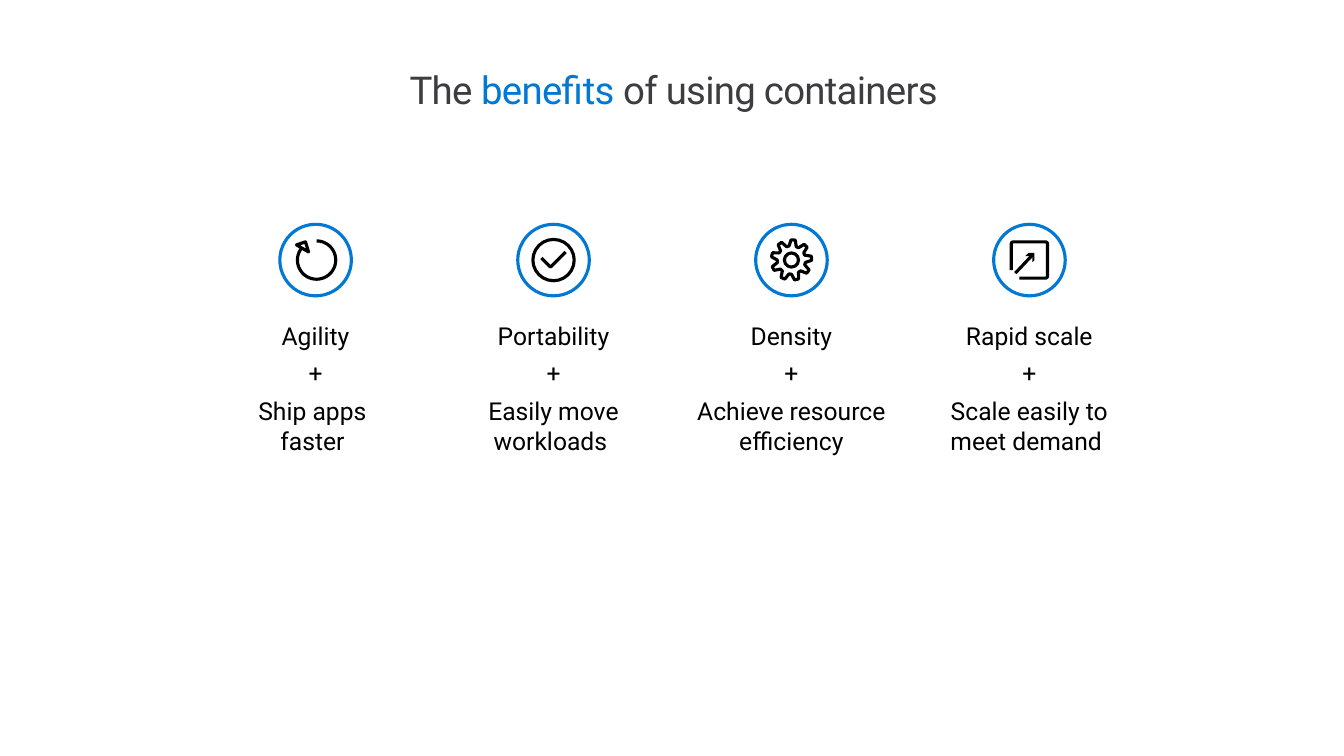
from dataclasses import dataclass
from math import cos, radians, sin
from lxml.etree import SubElement
from pptx import Presentation
from pptx.dml.color import RGBColor
from pptx.enum.shapes import MSO_CONNECTOR, MSO_SHAPE
from pptx.enum.text import PP_ALIGN
from pptx.oxml.ns import qn
from pptx.util import Inches, Pt


@dataclass(frozen=True)
class Theme:
    font: str = "Roboto"
    title_size: float = 27.4
    body_size: float = 17.6
    stroke: float = 2.25
    accent: RGBColor = RGBColor(0x00, 0x78, 0xD4)
    heading: RGBColor = RGBColor(0x3C, 0x3C, 0x41)
    ink: RGBColor = RGBColor(0x00, 0x00, 0x00)
    paper: RGBColor = RGBColor(0xFF, 0xFF, 0xFF)


theme = Theme()


def arc(x, y, radius, start, end, step=6):
    return [(x + radius * cos(radians(a)), y + radius * sin(radians(a)))
            for a in range(start, end + 1, step)]


def paint(shape, fill, line):
    shape.shadow.inherit = False
    if fill is None:
        shape.fill.background()
    else:
        shape.fill.solid()
        shape.fill.fore_color.rgb = fill
    if line is None:
        shape.line.fill.background()
    else:
        shape.line.color.rgb = line
        shape.line.width = Pt(theme.stroke)


deck = Presentation()
deck.slide_width, deck.slide_height = Inches(13.33), Inches(7.5)
slide = deck.slides.add_slide(deck.slide_layouts[6])
shapes = slide.shapes

FIRST_COLUMN, COLUMN_PITCH = 3.13, 2.36
BADGE_ROW, BADGE_SIZE = 2.58, 0.71
TEXT_ROW, TEXT_WIDTH, TEXT_HEIGHT, INSET = 3.02, 2.2, 1.67, 0.16

title = shapes.add_textbox(Inches(0.5), Inches(0.68), Inches(12.36), Inches(0.44)).text_frame
title.word_wrap = True
title.margin_left = title.margin_right = title.margin_top = title.margin_bottom = 0
headline = title.paragraphs[0]
headline.alignment = PP_ALIGN.CENTER
headline.line_spacing = Pt(31.4)
headline.font.name = theme.font
headline.font.size = Pt(theme.title_size)
for words, color in [("The ", theme.heading), ("benefits", theme.accent),
                     (" of using containers", theme.heading)]:
    run = headline.add_run()
    run.text = words
    run.font.color.rgb = color
    run.font._element.set("spc", "-50")

gear = []
for tooth in range(9):
    angle = 75 + 40 * tooth
    gear += arc(0, 0, 0.2, angle - 6, angle + 6)
    gear += arc(0, 0, 0.14, angle + 15, angle + 25, 5)

frame = ([(-0.1, 0.18)] + arc(0.16, 0.16, 0.02, 0, 90, 30)[::-1]
         + arc(0.16, -0.16, 0.02, -90, 0, 30)[::-1]
         + arc(-0.16, -0.16, 0.02, 180, 270, 30)[::-1] + [(-0.18, 0.1)])
pointer = [(0.03, 0.02), (0.03, -0.04), (-0.04, -0.04), (-0.01, -0.07),
           (0.05, -0.07), (0.05, 0)]

benefits = [
    ("Agility", "Ship apps \vfaster ", None, [
        (arc(0.01, 0, 0.19, -90, 219), False, None, theme.ink),
        ([(-0.19, -0.15), (-0.1, -0.18), (-0.07, -0.08)], True, theme.paper, theme.ink)]),
    ("Portability", "Easily move workloads ", 0.41, [
        ([(0.12, -0.08), (-0.03, 0.07), (-0.12, -0.02)], False, None, theme.ink)]),
    ("Density", "Achieve resource efficiency", 0.14, [
        (gear, True, None, theme.ink)]),
    ("Rapid scale", "Scale easily to meet demand ", None, [
        (pointer, True, theme.ink, None),
        (frame, False, None, theme.ink)]),
]

for column, (name, gain, ring, outlines) in enumerate(benefits):
    center = FIRST_COLUMN + column * COLUMN_PITCH
    caption = shapes.add_textbox(Inches(center - TEXT_WIDTH / 2), Inches(TEXT_ROW),
                                 Inches(TEXT_WIDTH), Inches(TEXT_HEIGHT)).text_frame
    caption.word_wrap = True
    caption.margin_left = caption.margin_right = Inches(INSET)
    caption.margin_top = caption.margin_bottom = Inches(INSET)
    for row, words in enumerate([name, "+", gain]):
        paragraph = caption.add_paragraph() if row else caption.paragraphs[0]
        paragraph.text = words
        paragraph.alignment = PP_ALIGN.CENTER
        paragraph.space_after = Pt(5.9)
        paragraph.font.name = theme.font
        paragraph.font.size = Pt(theme.body_size)
        paragraph.font.color.rgb = theme.ink

    circles = [(BADGE_SIZE, theme.paper, theme.accent)]
    if ring:
        circles.append((ring, None, theme.ink))
    for size, fill, line in circles:
        circle = shapes.add_shape(MSO_SHAPE.OVAL, Inches(center - size / 2),
                                  Inches(BADGE_ROW - size / 2), Inches(size), Inches(size))
        paint(circle, fill, line)

    for points, closed, fill, line in outlines:
        spots = [(Inches(center + x), Inches(BADGE_ROW + y)) for x, y in points]
        builder = shapes.build_freeform(*spots[0])
        builder.add_line_segments(spots[1:], close=closed)
        paint(builder.convert_to_shape(), fill, line)

scale_center = FIRST_COLUMN + 3 * COLUMN_PITCH
shaft = shapes.add_connector(MSO_CONNECTOR.STRAIGHT,
                             Inches(scale_center - 0.14), Inches(BADGE_ROW + 0.13),
                             Inches(scale_center + 0.03), Inches(BADGE_ROW - 0.05))
shaft.line.color.rgb = theme.ink
shaft.line.width = Pt(theme.stroke)
SubElement(shaft._element.spPr, qn("a:effectLst"))

deck.save("out.pptx")
